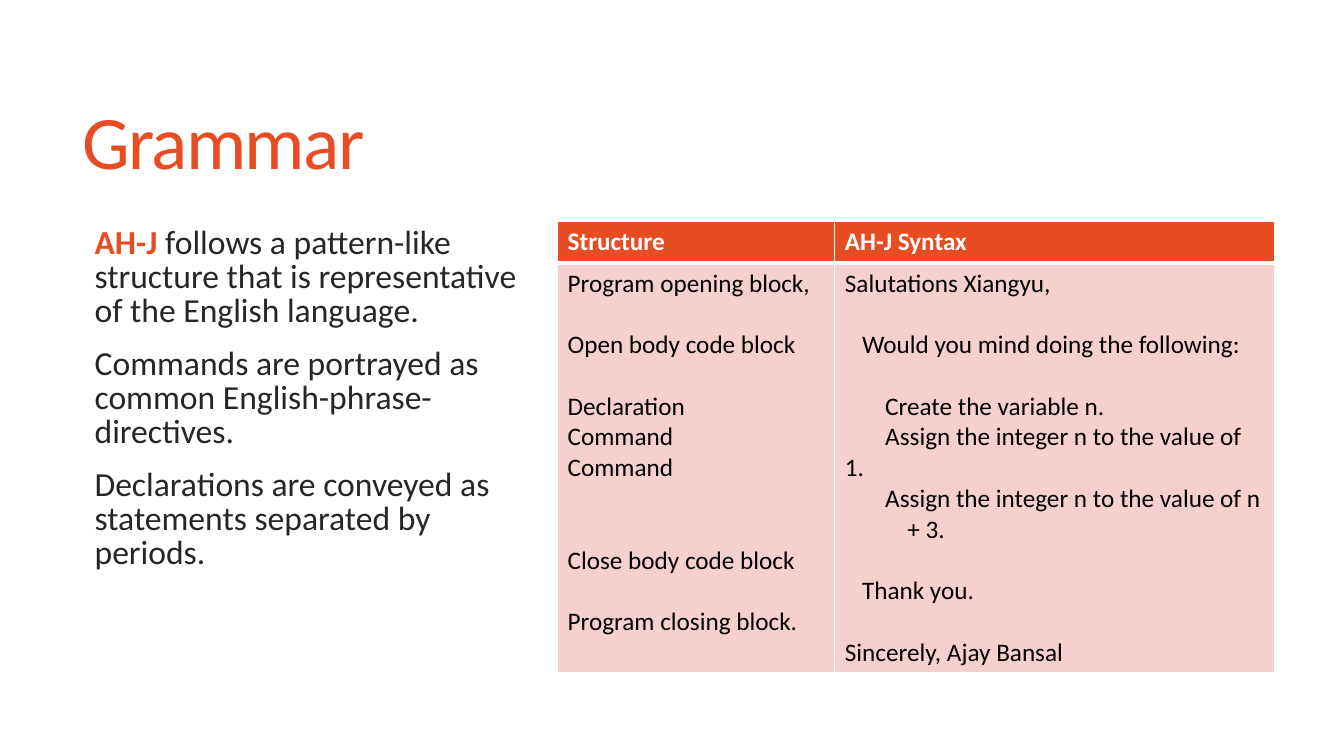
from dataclasses import dataclass
from typing import NamedTuple

from lxml.etree import SubElement
from pptx import Presentation
from pptx.dml.color import RGBColor
from pptx.enum.text import MSO_ANCHOR
from pptx.oxml.ns import qn
from pptx.util import Inches, Pt


@dataclass(frozen=True)
class Theme:
    """Colours, font and type sizes of the slide."""
    font: str = "Calibri"
    accent: str = "E84C22"
    tint: str = "F6D0CD"
    white: str = "FFFFFF"
    black: str = "000000"
    ink: str = "262626"
    title: int = 54
    body: int = 24
    cell: int = 18
    tight: float = 0.85
    gap: int = 13
    row: int = 22


class Span(NamedTuple):
    """A run of text with its look."""
    text: str
    size: int
    color: str
    bold: bool = False
    track: int = 0


class Line(NamedTuple):
    """A paragraph: its runs, space before, spacing and indents in inches."""
    spans: list[Span]
    before: float = 0
    space: float = 1.0
    left: float = 0
    first: float = 0


class Step(NamedTuple):
    """A code line in the table: empty rows above it and first-line indent."""
    text: str
    skip: int = 0
    inset: float = 0


THEME = Theme()
WIDTHS = (2.75, 4.36)
HEIGHTS = (0.41, 4.06)
BLOCK, INNER, WRAP = 0.17, 0.4, 0.62

HEADS = ("Structure", "AH-J Syntax")
PARTS = [
    Step("Program opening block,"),
    Step("Open body code block", 1),
    Step("Declaration", 1),
    Step("Command"),
    Step("Command"),
    Step("Close body code block", 2),
    Step("Program closing block.", 1),
]
SYNTAX = [
    Step("Salutations Xiangyu,"),
    Step("Would you mind doing the following:", 1, BLOCK),
    Step("Create the variable n.", 1, INNER),
    Step("Assign the integer n to the value of 1.", 0, INNER),
    Step("Assign the integer n to the value of n", 0, INNER),
    Step("+ 3.", 0, WRAP),
    Step("Thank you.", 1, BLOCK),
    Step("Sincerely, Ajay Bansal", 1),
]
POINTS = [
    [Span("AH-J", THEME.body, THEME.accent, True),
     Span(" follows a pattern-like structure that is representative "
          "of the English language.", THEME.body, THEME.ink)],
    [Span("Commands are portrayed as common English-phrase-directives.",
          THEME.body, THEME.ink)],
    [Span("Declarations are conveyed as statements separated by periods.",
          THEME.body, THEME.ink)],
]


def write(frame, lines: list[Line]) -> None:
    """Fill a text frame with paragraphs, run by run."""
    for i, line in enumerate(lines):
        para = frame.add_paragraph() if i else frame.paragraphs[0]
        para.space_before = Pt(line.before)
        para.line_spacing = line.space
        props = para._p.get_or_add_pPr()
        props.set("marL", str(Inches(line.left)))
        props.set("indent", str(Inches(line.first)))
        for span in line.spans:
            run = para.add_run()
            run.text = span.text
            font = run.font
            font.name, font.size, font.bold = THEME.font, Pt(span.size), span.bold
            font.color.rgb = RGBColor.from_string(span.color)
            if span.track:
                font._element.set("spc", str(span.track))


def add_text(slide, box: tuple[float, ...], lines: list[Line],
             anchor: MSO_ANCHOR = MSO_ANCHOR.TOP) -> None:
    """Add a wrapping text box."""
    frame = slide.shapes.add_textbox(*map(Inches, box)).text_frame
    frame.word_wrap = True
    frame.vertical_anchor = anchor
    write(frame, lines)


def edge(cell, side: str, width: float) -> None:
    """Draw a white border on one side of a cell."""
    line = SubElement(cell._tc.get_or_add_tcPr(), qn(f"a:ln{side}"),
                      w=str(Pt(width)))
    fill = SubElement(line, qn("a:solidFill"))
    SubElement(fill, qn("a:srgbClr"), val=THEME.white)


def fill_cell(cell, lines: list[Line], color: str, top: int, low: int) -> None:
    """Give a cell its borders, fill and text."""
    for side, width in zip("LRTB", (1, 1, top, low)):
        edge(cell, side, width)
    cell.fill.solid()
    cell.fill.fore_color.rgb = RGBColor.from_string(color)
    write(cell.text_frame, lines)


def add_grid(slide, left: float, top: float) -> None:
    """Add the table that pairs structure with syntax."""
    table = slide.shapes.add_table(
        len(HEIGHTS), len(WIDTHS), Inches(left), Inches(top),
        Inches(sum(WIDTHS)), Inches(sum(HEIGHTS))).table
    table.horz_banding = False
    for row, height in zip(table.rows, HEIGHTS):
        row.height = Inches(height)
    for i, (width, head, steps) in enumerate(zip(WIDTHS, HEADS, (PARTS, SYNTAX))):
        table.columns[i].width = Inches(width)
        label = Line([Span(head, THEME.cell, THEME.white, True)])
        fill_cell(table.cell(0, i), [label], THEME.accent, 1, 3)
        lines = [Line([Span(step.text, THEME.cell, THEME.black)],
                      before=step.skip * THEME.row, first=step.inset)
                 for step in steps]
        fill_cell(table.cell(1, i), lines, THEME.tint, 3, 1)


def main() -> None:
    """Build and save the slide."""
    deck = Presentation()
    deck.slide_width, deck.slide_height = Inches(13.33), Inches(7.5)
    slide = deck.slides.add_slide(deck.slide_layouts[6])
    title = Span("Grammar", THEME.title, THEME.accent, track=-120)
    add_text(slide, (0.72, 0.55, 11.78, 1.81),
             [Line([title], space=THEME.tight)], MSO_ANCHOR.MIDDLE)
    add_text(slide, (0.74, 2.2, 4.79, 4.12),
             [Line(spans, THEME.gap if i else 0, THEME.tight, left=0.1)
              for i, spans in enumerate(POINTS)])
    add_grid(slide, 5.53, 2.2)
    deck.save("out.pptx")


main()
